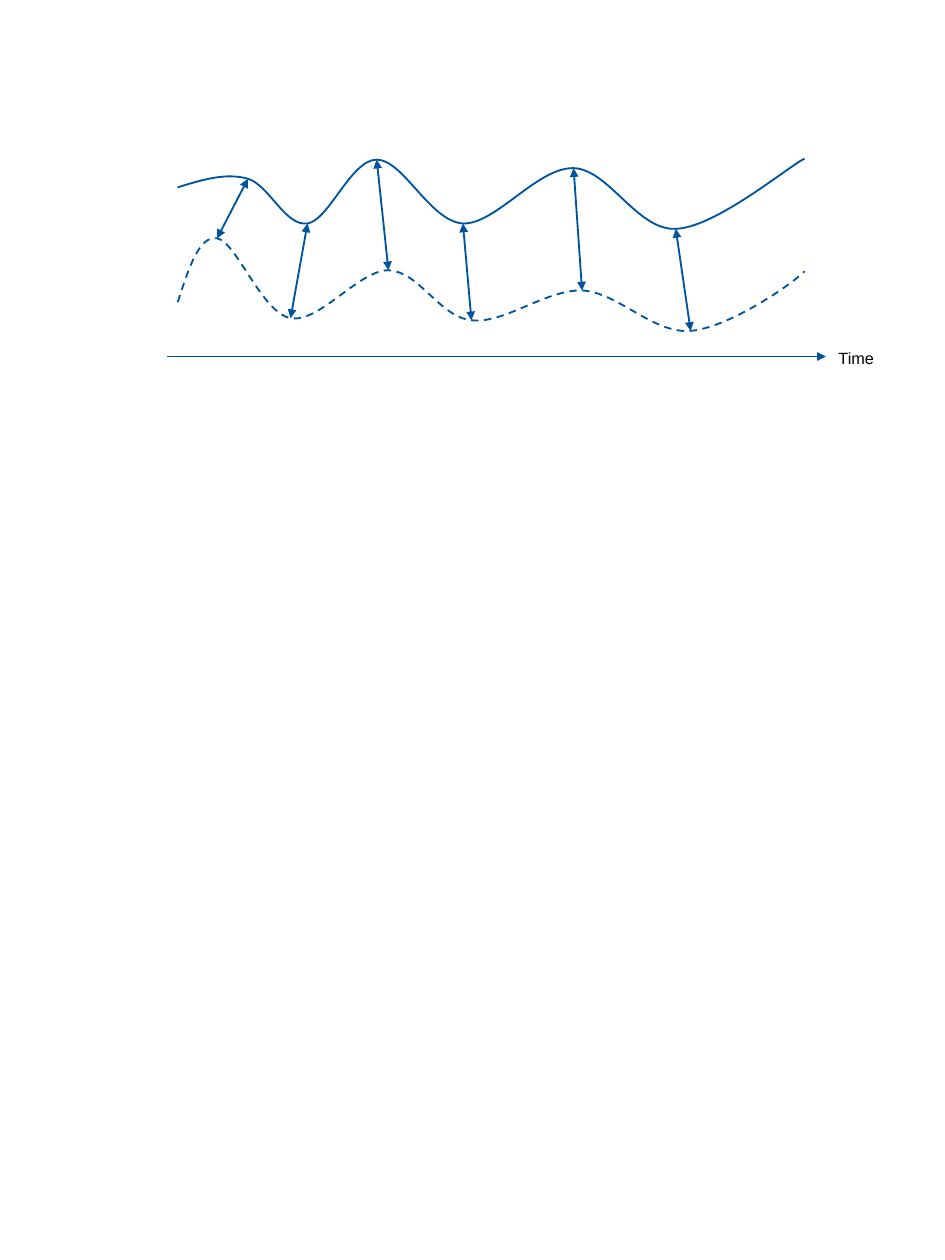
from pptx import Presentation, util as u
from pptx.dml.color import RGBColor
from pptx.enum import dml, shapes, text
from pptx.oxml import ns, xmlchemy

SCALE = 9144
UPPER_CURVE = [
    (167, 176), (190, 169), (212, 162), (233, 168),
    (253, 174), (268, 213), (289, 210),
    (309, 207), (330, 150), (354, 150),
    (379, 150), (404, 208), (435, 210),
    (466, 211), (505, 157), (539, 158),
    (572, 159), (599, 217), (635, 215),
    (672, 214), (740, 157), (756, 149),
]
LOWER_CURVE = [
    (167, 284), (177, 253), (187, 221), (204, 224),
    (222, 227), (246, 294), (273, 299),
    (300, 304), (337, 254), (365, 254),
    (394, 255), (413, 298), (443, 301),
    (473, 305), (513, 272), (547, 273),
    (581, 275), (614, 314), (649, 311),
    (684, 308), (742, 269), (756, 255),
]


def color(value):
    return RGBColor.from_string(value)


def px(value):
    return u.Emu(value * SCALE)


class TimeDiagram:
    line_color = "00549F"
    line_width = u.Pt(1.25)
    font = {"name": "Arial", "size": u.Pt(11)}
    text_color = "000000"

    def __init__(self, slide):
        self.slide = slide

    def style_line(self, shape, dash=None):
        shape.line.color.rgb = color(self.line_color)
        shape.line.width = self.line_width
        if dash:
            shape.line.dash_style = dash

    def curve(self, points, dash=None):
        builder = self.slide.shapes.build_freeform(*points[0], scale=SCALE)
        builder.add_line_segments(points[1:], close=False)
        shape = builder.convert_to_shape()
        segments = list(shape.element.iter(ns.qn("a:lnTo")))
        for start in range(0, len(segments), 3):
            bezier = xmlchemy.OxmlElement("a:cubicBezTo")
            segments[start].addprevious(bezier)
            for segment in segments[start:start + 3]:
                bezier.append(segment[0])
                segment.getparent().remove(segment)
        shape.fill.background()
        self.style_line(shape, dash)
        shape.shadow.inherit = False

    def arrow(self, start, end, ends=("tailEnd",)):
        connector = self.slide.shapes.add_connector(
            shapes.MSO_CONNECTOR.STRAIGHT, *map(px, start + end))
        self.style_line(connector)
        properties = connector.element.spPr
        line = properties.find(ns.qn("a:ln"))
        for name in ends:
            arrowhead = xmlchemy.OxmlElement(f"a:{name}")
            arrowhead.set("type", "triangle")
            line.append(arrowhead)
        properties.append(xmlchemy.OxmlElement("a:effectLst"))

    def label(self, content, left, top, width, height):
        box = self.slide.shapes.add_textbox(*map(px, (left, top, width, height)))
        frame = box.text_frame
        frame.word_wrap = True
        frame.auto_size = text.MSO_AUTO_SIZE.SHAPE_TO_FIT_TEXT
        paragraph = frame.paragraphs[0]
        run = paragraph.add_run()
        run.text = content
        for name, value in self.font.items():
            setattr(run.font, name, value)
        run.font.color.rgb = color(self.text_color)


def main():
    presentation = Presentation()
    presentation.slide_width = px(888)
    presentation.slide_height = px(1184)
    slide = presentation.slides.add_slide(presentation.slide_layouts[6])
    diagram = TimeDiagram(slide)
    diagram.arrow((157, 335), (776, 335))
    diagram.curve(UPPER_CURVE)
    diagram.curve(LOWER_CURVE, dml.MSO_LINE.DASH)
    for lower, upper in zip(LOWER_CURVE[3:-1:3], UPPER_CURVE[3:-1:3]):
        diagram.arrow(lower, upper, ("headEnd", "tailEnd"))
    diagram.label("Time", 778, 322, 69, 29)
    presentation.save("out.pptx")


if __name__ == "__main__":
    main()
